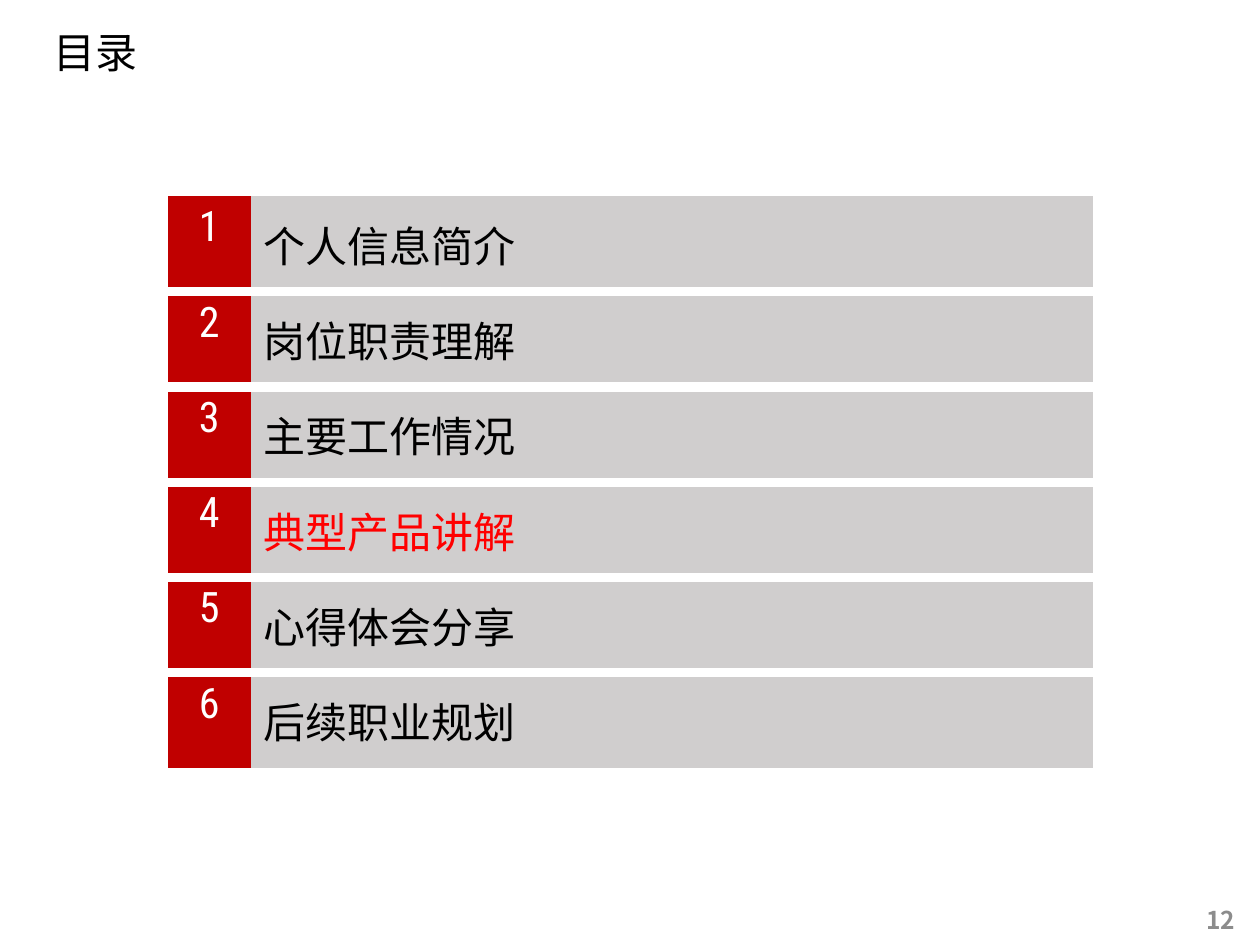
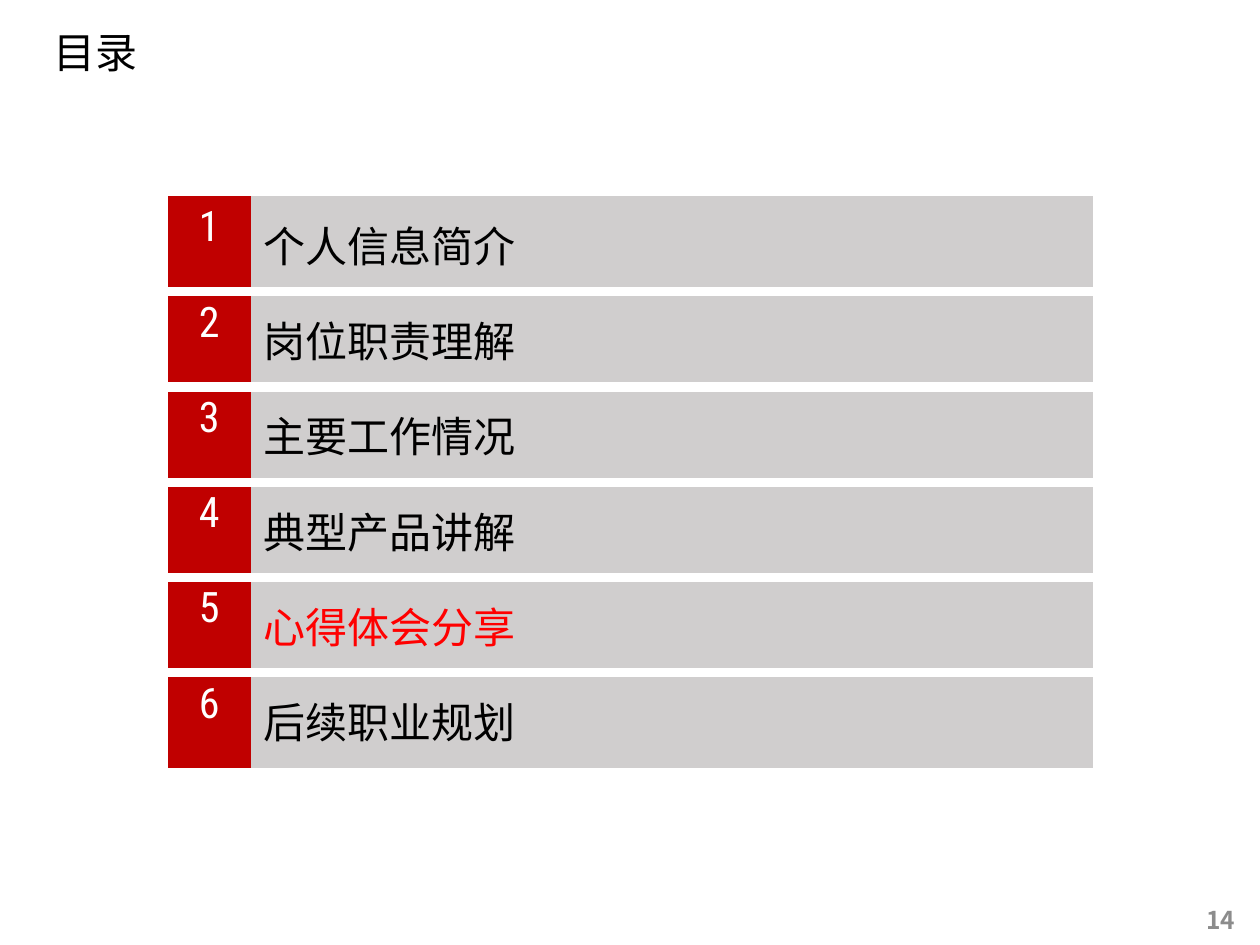
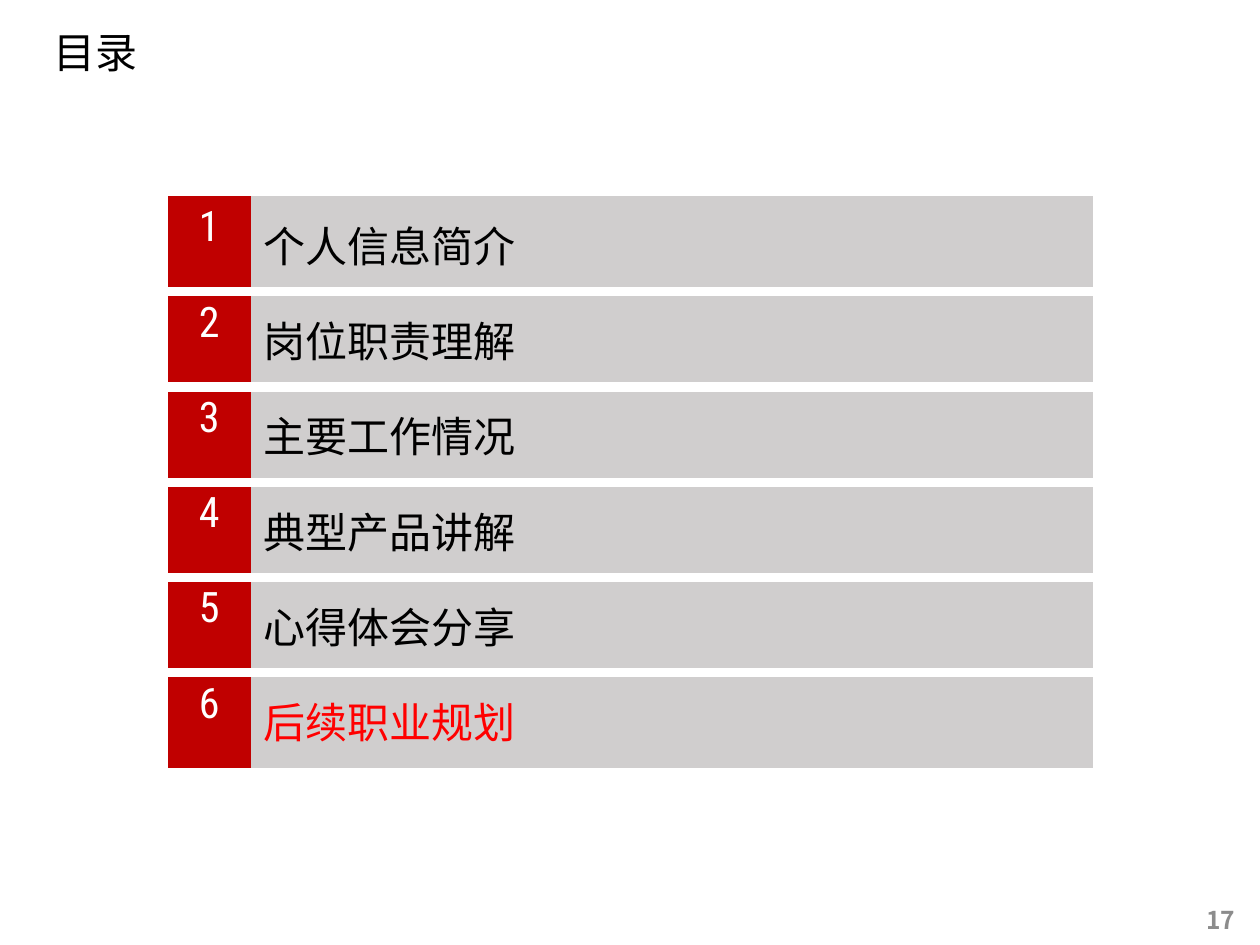
from pptx import Presentation
from pptx.dml.color import RGBColor
from pptx.enum.text import MSO_ANCHOR as ANCHOR, MSO_AUTO_SIZE as AUTOSIZE, PP_ALIGN as ALIGN
from pptx.oxml import parse_xml
from pptx.oxml.ns import nsdecls
from pptx.util import Cm, Pt

TITLE = "目录"
TOPICS = ["个人信息简介", "岗位职责理解", "主要工作情况",
          "典型产品讲解", "心得体会分享", "后续职业规划"]
AGENDAS = [("12", 4), ("14", 5), ("17", 6)]

SANS, CONDENSED = "Noto Sans CJK SC", "Roboto Condensed"
BLACK, WHITE, GREY, SILVER = "000000", "FFFFFF", "8C8C8C", "D0CECE"
CRIMSON, RED = "C00000", "FF0000"
NO_STYLE = "{2D5ABB26-0587-4C30-8999-92F81FD0307C}"
COLS, ROW = (Cm(1.68), Cm(16.97)), Cm(1.92)
GAP = Pt(6)


def rgb(hex_):
    return RGBColor.from_string(hex_)


def write(tf, text, color, size=24, font=SANS, align=ALIGN.LEFT, bold=False):
    p = tf.paragraphs[0]
    p.alignment = align
    r = p.add_run()
    r.text = text
    f = r.font
    f.name, f.size, f.bold, f.color.rgb = font, Pt(size), bold, rgb(color)
    r._r.get_or_add_rPr().append(
        parse_xml(f'<a:ea {nsdecls("a")} typeface="{font}"/>'))
    return p


def place(s, left, top, width, height):
    s.left, s.top, s.width, s.height = Cm(left), Cm(top), Cm(width), Cm(height)


def add_title(slide):
    s = slide.shapes.title
    place(s, 0.58, 0.58, 9.6, 1.07)
    tf = s.text_frame
    tf.auto_size, tf.vertical_anchor = AUTOSIZE.NONE, ANCHOR.MIDDLE
    tf.margin_left = tf.margin_right = Cm(0.5)
    tf.margin_top = tf.margin_bottom = Cm(0.13)
    write(tf, TITLE, BLACK).line_spacing = 0.9


def add_page_number(slide, number):
    s = slide.shapes.add_textbox(Cm(23.5), Cm(18.34), Cm(1.65), Cm(0.41))
    tf = s.text_frame
    tf.word_wrap, tf.vertical_anchor = True, ANCHOR.MIDDLE
    write(tf, number, GREY, 14, align=ALIGN.RIGHT, bold=True)


def style_cell(cell, fill, sides):
    for side in sides:
        cell._tc.get_or_add_tcPr().append(parse_xml(
            f'<a:ln{side} {nsdecls("a")} w="{GAP}"><a:solidFill>'
            f'<a:srgbClr val="{WHITE}"/></a:solidFill></a:ln{side}>'))
    cell.fill.solid()
    cell.fill.fore_color.rgb = rgb(fill)


def add_agenda(slide, current):
    n = len(TOPICS)
    table = slide.shapes.add_table(
        n, len(COLS), Cm(3.38), Cm(3.96), sum(COLS), ROW * n).table
    table.first_row = table.horz_banding = False
    table._tbl.tblPr[0].text = NO_STYLE
    for col, width in zip(table.columns, COLS):
        col.width = width
    for i, topic in enumerate(TOPICS, 1):
        sides = ("T" if i > 1 else "") + ("B" if i < n else "")
        number, label = table.rows[i - 1].cells
        style_cell(number, CRIMSON, sides)
        write(number.text_frame, str(i), WHITE, font=CONDENSED, align=ALIGN.CENTER)
        style_cell(label, SILVER, sides)
        label.vertical_anchor = ANCHOR.MIDDLE
        write(label.text_frame, topic, RED if i == current else BLACK)


def main():
    """Build one agenda slide per section, with the current topic in red."""
    prs = Presentation()
    prs.slide_width, prs.slide_height = Cm(25.4), Cm(19.05)
    for number, current in AGENDAS:
        slide = prs.slides.add_slide(prs.slide_layouts[5])
        add_title(slide)
        add_page_number(slide, number)
        add_agenda(slide, current)
    prs.save("out.pptx")


if __name__ == "__main__":
    main()
